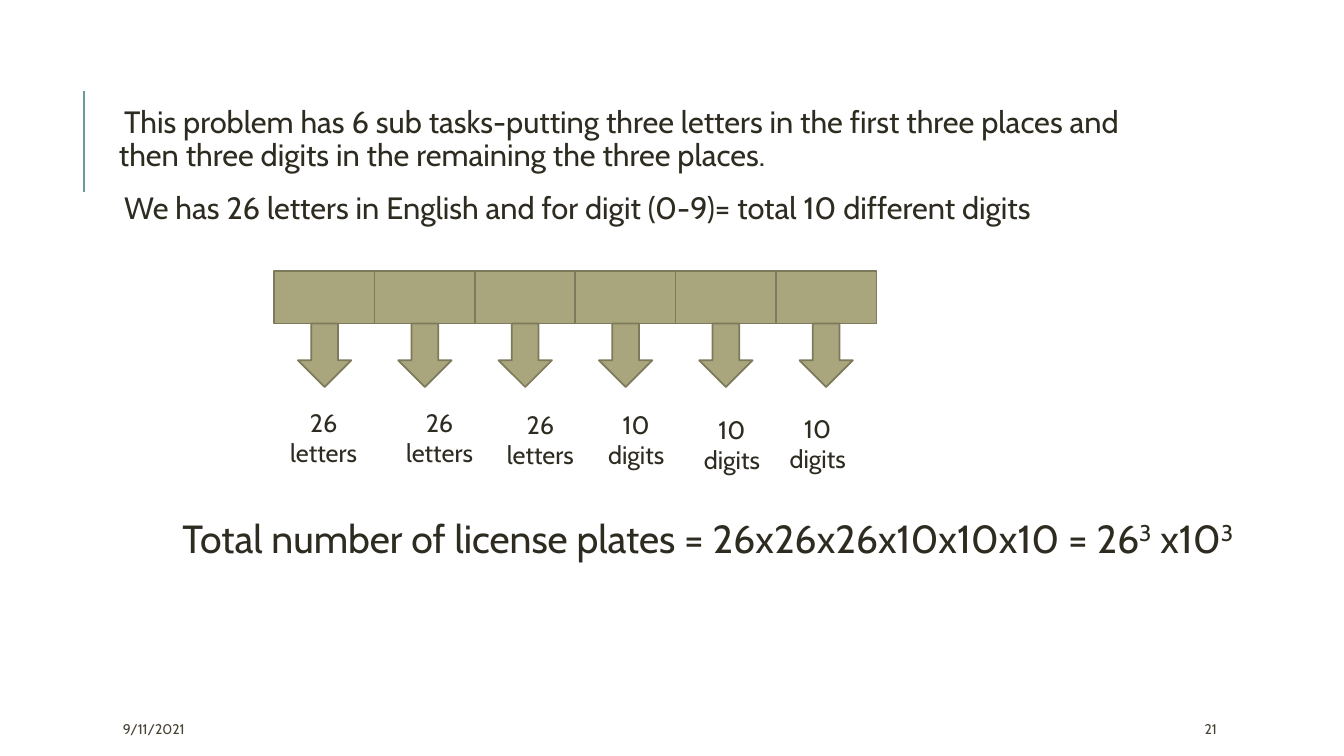
from dataclasses import dataclass

from lxml import etree
from pptx import Presentation
from pptx import util as u
from pptx.dml.color import RGBColor
from pptx.enum import shapes, text
from pptx.oxml import ns


@dataclass(frozen=True)
class Theme:
    font: str = "Cabin"
    ink: str = "2E2B21"
    footer_ink: str = "474233"
    accent: str = "689C9A"
    bullet: str = "9CBEBD"
    fill: str = "A9A57C"
    outline: str = "7D7A5C"
    total_size: int = 28
    body_size: int = 22
    label_size: int = 18
    footer_size: int = 10


def set_all(target, values):
    for name, value in values.items():
        setattr(target, name, value)


class SlideBuilder:
    def __init__(self, slide, theme):
        self.slide = slide
        self.theme = theme

    def rule(self, x, top, bottom):
        line = self.slide.shapes.add_connector(
            shapes.MSO_CONNECTOR.STRAIGHT,
            u.Inches(x), u.Inches(bottom), u.Inches(x), u.Inches(top))
        line.line.color.rgb = RGBColor.from_string(self.theme.accent)
        line.line.width = u.Pt(1.5)
        etree.SubElement(line._element.spPr, ns.qn("a:effectLst"))

    def block(self, kind, *box):
        block = self.slide.shapes.add_shape(kind, *map(u.Inches, box))
        block.shadow.inherit = False
        block.fill.solid()
        block.fill.fore_color.rgb = RGBColor.from_string(self.theme.fill)
        block.line.color.rgb = RGBColor.from_string(self.theme.outline)
        block.line.width = u.Pt(1.25)

    def add_words(self, paragraph, words, size, color=None, superscript=False):
        run = paragraph.add_run()
        run.text = words
        set_all(run.font, {"name": self.theme.font, "size": u.Pt(size)})
        run.font.color.rgb = RGBColor.from_string(color or self.theme.ink)
        if superscript:
            run._r.get_or_add_rPr().set("baseline", "30000")

    def frame(self, *box, **formats):
        frame = self.slide.shapes.add_textbox(*map(u.Inches, box)).text_frame
        set_all(frame, {"word_wrap": True, **formats})
        return frame

    def label(self, words, size, *box, color=None, align=None, **formats):
        paragraph = self.frame(*box, **formats).paragraphs[0]
        paragraph.alignment = align
        self.add_words(paragraph, words, size, color)

    def body(self, paragraphs, *box):
        inset = u.Inches(0.05)
        sides = ("left", "top", "right", "bottom")
        frame = self.frame(*box, **{f"margin_{side}": inset for side in sides})
        for index, words in enumerate(paragraphs):
            paragraph = frame.add_paragraph() if index else frame.paragraphs[0]
            set_all(paragraph, {"line_spacing": 0.9, "space_before": u.Pt(12),
                                "space_after": u.Pt(2)})
            self.add_words(paragraph, words, self.theme.body_size)
            # Hanging indent with a blank bullet
            properties = paragraph._p.get_or_add_pPr()
            properties.set("marL", str(u.Inches(0.1)))
            properties.set("indent", str(-u.Inches(0.1)))
            color = etree.SubElement(properties, ns.qn("a:buClr"))
            etree.SubElement(color, ns.qn("a:srgbClr"), val=self.theme.bullet)
            etree.SubElement(properties, ns.qn("a:buChar"), char=" ")

    def formula(self, parts, *box):
        paragraph = self.frame(*box, word_wrap=False).paragraphs[0]
        paragraph.alignment = text.PP_ALIGN.CENTER
        for words, superscript in parts:
            self.add_words(paragraph, words, self.theme.total_size,
                           superscript=superscript)


def main():
    deck = Presentation()
    set_all(deck, {"slide_width": u.Inches(13.33),
                   "slide_height": u.Inches(7.5)})
    theme = Theme()
    page = SlideBuilder(deck.slides.add_slide(deck.slide_layouts[6]), theme)

    # Problem statement
    page.rule(0.83, 0.9, 1.9)
    page.body([
        "This problem has 6 sub tasks-putting three letters in the first three "
        "places and then three digits in the remaining the three places.",
        "We has 26 letters in English and for digit (0-9)= total 10 different "
        "digits",
    ], 1.03, 1.01, 10.72, 5.89)

    # Date and slide number
    for words, left, width in (("9/11/2021", 1.12, 2.36), ("21", 11.85, 1.06)):
        page.label(words, theme.footer_size, left, 7.08, width, 0.3,
                   color=theme.footer_ink,
                   vertical_anchor=text.MSO_ANCHOR.MIDDLE)

    # Six plate places, each with an arrow to its number of choices
    place_left, place_top, pitch = 2.72, 2.69, 0.995
    place_width, place_height = 1, 0.52
    arrow_width, arrow_height = 0.53, 0.63
    lefts = [place_left + index * pitch for index in range(6)]
    for left in lefts:
        page.block(shapes.MSO_SHAPE.RECTANGLE,
                   left, place_top, place_width, place_height)
    for left in lefts:
        page.block(shapes.MSO_SHAPE.DOWN_ARROW,
                   left + (place_width - arrow_width) / 2,
                   place_top + place_height, arrow_width, arrow_height)

    # Choices, by centre and top
    choice_width = 0.9
    choices = [
        ("26 letters", 3.21, 3.99), ("26 letters", 4.36, 3.99),
        ("26 letters", 5.36, 4.01), ("10 digits", 6.31, 4.01),
        ("10 digits", 7.26, 4.06), ("10 digits", 8.11, 4.05),
    ]
    for words, centre, top in choices:
        page.label(words, theme.label_size, centre - choice_width / 2, top,
                   choice_width, 0.71, align=text.PP_ALIGN.CENTER)

    # Total
    page.formula([
        ("Total number of license plates = 26x26x26x10x10x10 = 26", False),
        ("3", True), (" x10", False), ("3", True),
    ], 1.59, 5.05, 10.86, 0.57)

    deck.save("out.pptx")


if __name__ == "__main__":
    main()
